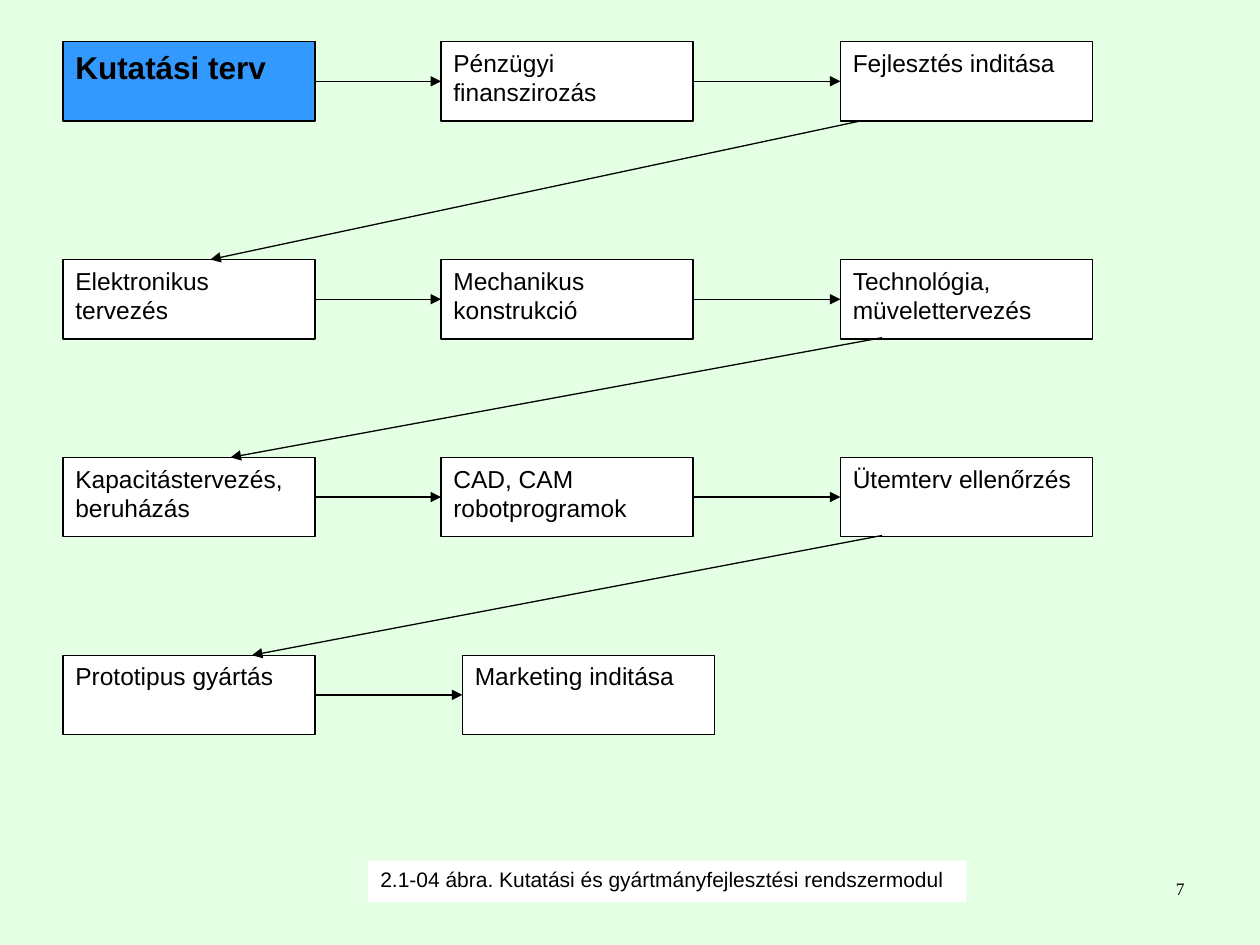
from pptx import Presentation
from pptx import util as u
from pptx.dml.color import RGBColor
from pptx.enum import shapes, text
from pptx.oxml import xmlchemy

COLORS = {"background": "E5FFE5", "start": "3399FF", "box": "FFFFFF", "ink": "000000"}
COLUMN, ROW = 1 / 6, 0.157
BOX_WIDTH, BOX_HEIGHT = 12, 4
LEFT, RIGHT = 1, 3
STAGES = [
    (2.1, [(3, "Kutatási terv"), (21, "Pénzügyi finanszirozás"), (40, "Fejlesztés inditása")]),
    (13.1, [(3, "Elektronikus tervezés"), (21, "Mechanikus konstrukció"),
            (40, "Technológia, müvelettervezés")]),
    (23.1, [(3, "Kapacitástervezés, beruházás"), (21, "CAD, CAM robotprogramok"),
            (40, "Ütemterv ellenőrzés")]),
    (33.1, [(3, "Prototipus gyártás"), (22, "Marketing inditása")]),
]
RETURNS = [(41, 10), (42, 11), (42, 12)]


class FlowSlide:
    """Draws flow chart elements in one style on a grid of columns and rows."""

    def __init__(self, presentation):
        self.slide = presentation.slides.add_slide(presentation.slide_layouts[6])
        self.paint(self.slide.background.fill, "background")

    def paint(self, fill, color):
        fill.solid()
        fill.fore_color.rgb = RGBColor.from_string(COLORS[color])

    def place(self, column, row, *size):
        scales = (COLUMN, ROW) * 2
        return [u.Inches(round(n * scale, 2)) for n, scale in zip((column, row, *size), scales)]

    def label(self, shape, words, size, font="Arial", bold=False, align=text.PP_ALIGN.LEFT):
        frame = shape.text_frame
        frame.word_wrap = True
        frame.vertical_anchor = text.MSO_ANCHOR.TOP
        paragraph = frame.paragraphs[0]
        paragraph.text = words
        paragraph.alignment = align
        paragraph.font.name = font
        paragraph.font.size = u.Pt(size)
        paragraph.font.bold = bold
        paragraph.font.color.rgb = RGBColor.from_string(COLORS["ink"])

    def box(self, column, row, words, start=False):
        shape = self.slide.shapes.add_shape(
            shapes.MSO_SHAPE.FLOWCHART_PROCESS, *self.place(column, row, BOX_WIDTH, BOX_HEIGHT))
        shape.shadow.inherit = False
        self.paint(shape.fill, "start" if start else "box")
        self.paint(shape.line.fill, "ink")
        shape.line.width = u.Pt(0.75)
        self.label(shape, words, 18 if start else 14, bold=start)
        return shape

    def caption(self, column, row, width, height, words):
        shape = self.slide.shapes.add_shape(
            shapes.MSO_SHAPE.RECTANGLE, *self.place(column, row, width, height))
        shape.shadow.inherit = False
        self.paint(shape.fill, "box")
        shape.line.fill.background()
        self.label(shape, words, 12)

    def page_number(self, column, row, width, height, words):
        shape = self.slide.shapes.add_textbox(*self.place(column, row, width, height))
        self.label(shape, words, 10, "Times New Roman", align=text.PP_ALIGN.RIGHT)

    def arrow(self, start, end):
        connector = self.slide.shapes.add_connector(
            shapes.MSO_CONNECTOR.STRAIGHT, *self.place(*start), *self.place(*end))
        self.paint(connector.line.fill, "ink")
        connector.line.width = u.Pt(0.75)
        head = xmlchemy.OxmlElement("a:tailEnd")
        head.set("type", "triangle")
        properties = connector._element.spPr
        properties.ln.append(head)
        properties.append(xmlchemy.OxmlElement("a:effectLst"))
        return connector

    def link(self, source, target):
        connector = self.arrow((0, 0), (1, 1))
        connector.begin_connect(source, RIGHT)
        connector.end_connect(target, LEFT)


def main():
    presentation = Presentation()
    presentation.slide_width, presentation.slide_height = u.Inches(10), u.Inches(7.5)
    flow = FlowSlide(presentation)
    for index, (row, stages) in enumerate(STAGES):
        boxes = [flow.box(column, row, words, start=index == 0 and position == 0)
                 for position, (column, words) in enumerate(stages)]
        for source, target in zip(boxes, boxes[1:]):
            flow.link(source, target)
    rows = [row for row, _ in STAGES]
    for (start, end), upper, lower in zip(RETURNS, rows, rows[1:]):
        flow.arrow((start, upper + BOX_HEIGHT), (end, lower))
    flow.caption(17.5, 43.5, 28.5, 2.1,
                 "2.1-04 ábra. Kutatási és gyártmányfejlesztési rendszermodul")
    flow.page_number(43, 44.1, 14, 3.2, "7")
    presentation.save("out.pptx")


if __name__ == "__main__":
    main()
